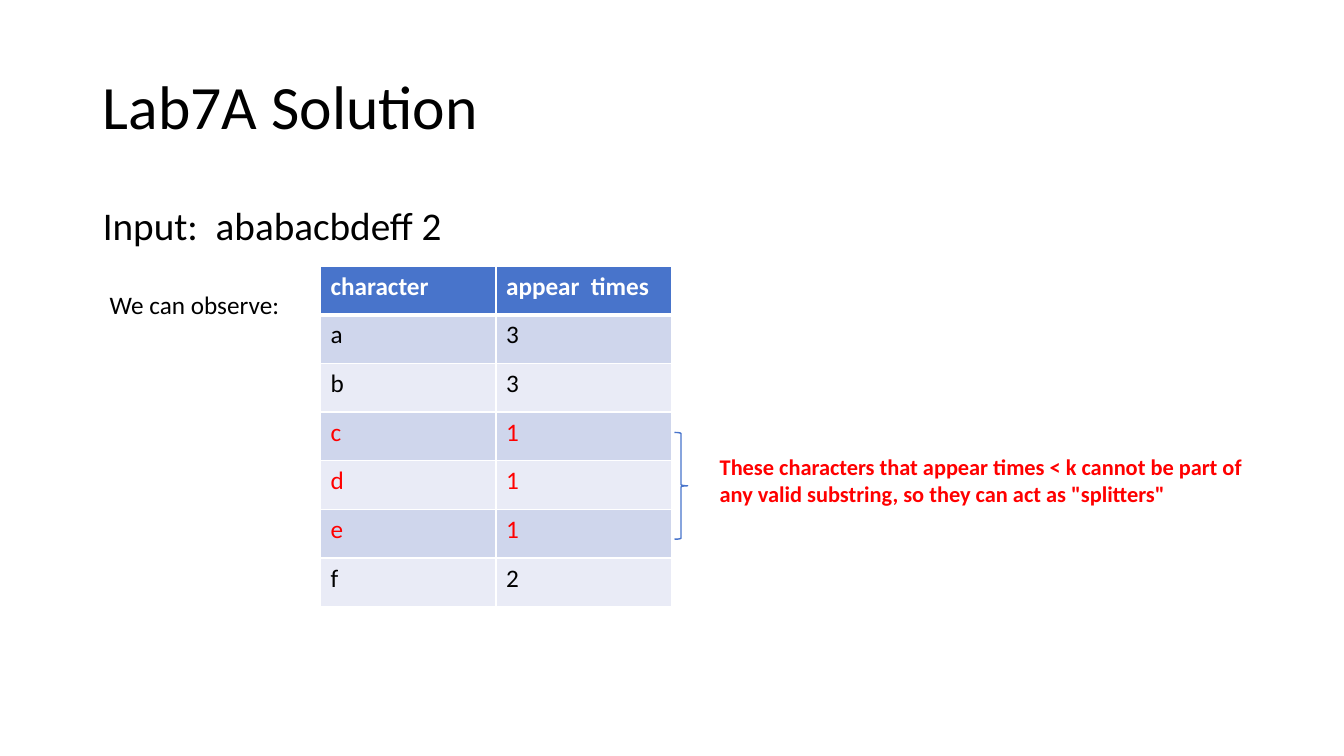
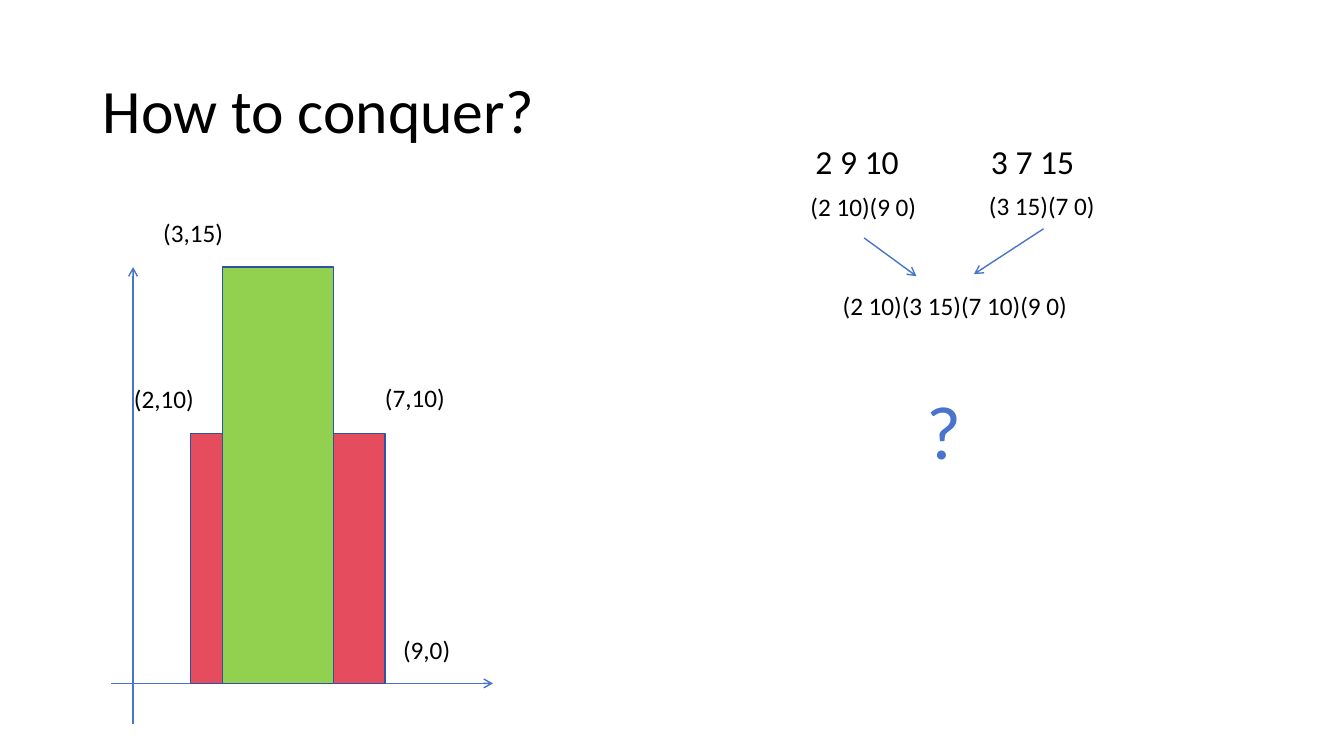
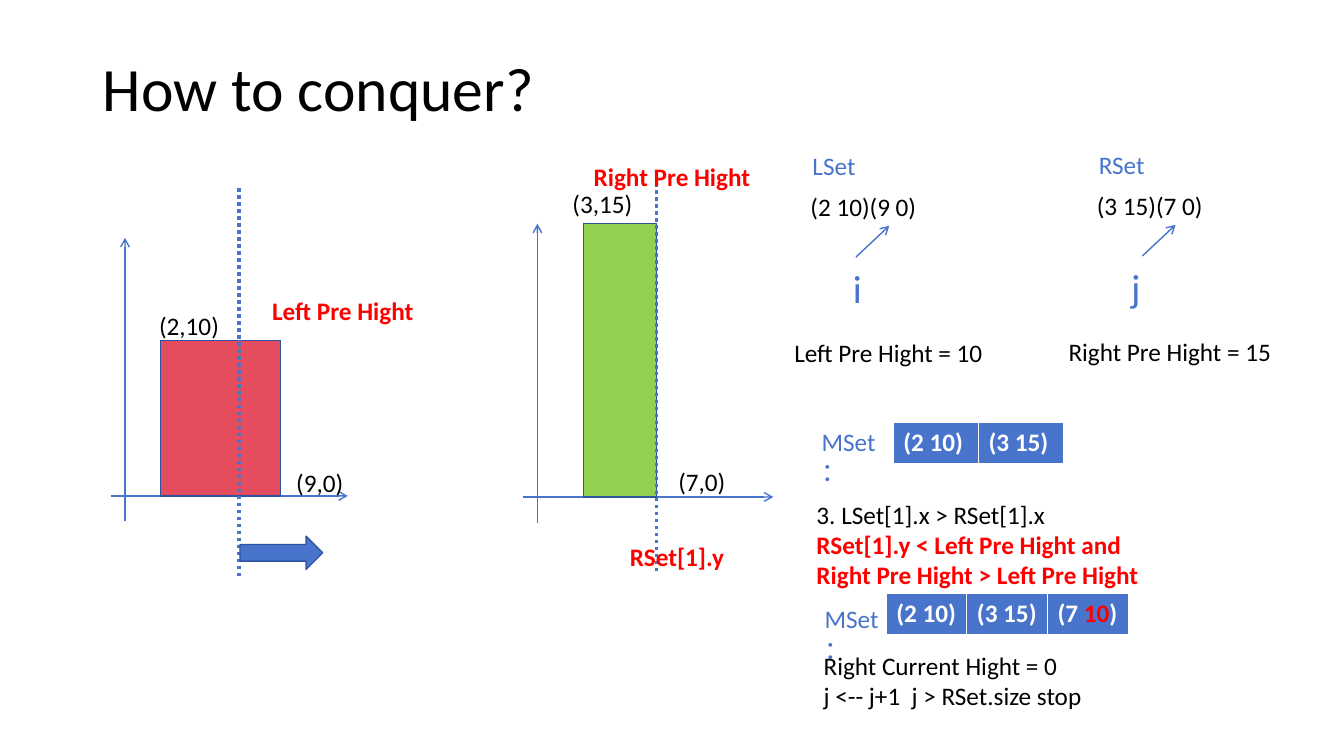
from lxml import etree
from pptx import Presentation
from pptx.dml.color import RGBColor
from pptx.enum.dml import MSO_LINE
from pptx.enum.shapes import MSO_CONNECTOR, MSO_SHAPE
from pptx.enum.text import MSO_ANCHOR, MSO_AUTO_SIZE, PP_ALIGN
from pptx.oxml.ns import qn
from pptx.util import Inches, Pt

STRAIGHT = MSO_CONNECTOR.STRAIGHT
RECTANGLE = MSO_SHAPE.RECTANGLE
RIGHT_ARROW = MSO_SHAPE.RIGHT_ARROW
RIGHT_BRACE = MSO_SHAPE.RIGHT_BRACE
SYS_DOT = MSO_LINE.ROUND_DOT
LEFT, TOP, MIDDLE = PP_ALIGN.LEFT, MSO_ANCHOR.TOP, MSO_ANCHOR.MIDDLE
NO_FIT = MSO_AUTO_SIZE.NONE

FONT = "Calibri"
BLACK, WHITE, RED = "000000", "FFFFFF", "FF0000"
BLUE, OUTLINE = "4874CB", "2E54A1"
CRIMSON, GREEN = "E54C5E", "92D050"
BANDS = ("E9EBF6", "CFD6EC")
TITLE_LAYOUT, BODY_LAYOUT = 5, 1


def rgb(value):
    return RGBColor.from_string(value)


def inches(box):
    return [Inches(length) for length in box]


# Text

def write(frame, content, size=18, color=BLACK, bold=False, spacing=None,
          anchor=TOP, bullet=True):
    """Content is a string or a list of paragraphs; a paragraph is a string
    or a list of (text, overrides) runs."""
    frame.word_wrap = True
    frame.vertical_anchor = anchor
    paragraphs = [content] if isinstance(content, str) else content
    for number, runs in enumerate(paragraphs):
        paragraph = frame.paragraphs[0] if number == 0 else frame.add_paragraph()
        if not bullet:
            properties = paragraph._p.get_or_add_pPr()
            properties.set("marL", "0")
            properties.set("indent", "0")
            etree.SubElement(properties, qn("a:buNone"))
        paragraph.alignment = LEFT
        paragraph.space_before = Pt(0)
        if spacing:
            paragraph.line_spacing = spacing
        for text, changes in [(runs, {})] if isinstance(runs, str) else runs:
            style = {"color": color, "bold": bold, **changes}
            run = paragraph.add_run()
            run.text = text
            run.font.name = FONT
            run.font.size = Pt(size)
            run.font.bold = style["bold"]
            run.font.color.rgb = rgb(style["color"])


def label(slide, box, content, **style):
    text_box = slide.shapes.add_textbox(*inches(box))
    write(text_box.text_frame, content, **style)
    return text_box


def fill_placeholder(placeholder, box, text, **style):
    placeholder.left, placeholder.top, placeholder.width, placeholder.height = inches(box)
    placeholder.text_frame.auto_size = NO_FIT
    write(placeholder.text_frame, text, spacing=0.9, **style)


def titled_slide(deck, title, top, height=1.45, layout=TITLE_LAYOUT):
    slide = deck.slides.add_slide(deck.slide_layouts[layout])
    fill_placeholder(slide.shapes.title, (0.92, top, 11.5, height), title,
                     size=44, anchor=MIDDLE)
    return slide


# Shapes and lines

def shape(slide, kind, box, fill=None, outline=OUTLINE):
    item = slide.shapes.add_shape(kind, *inches(box))
    item.shadow.inherit = False
    if fill:
        item.fill.solid()
        item.fill.fore_color.rgb = rgb(fill)
    else:
        item.fill.background()
    item.line.color.rgb = rgb(outline)
    item.line.width = Pt(1)


def line(slide, start, end, width=1, dash=None, arrow=True):
    connector = slide.shapes.add_connector(STRAIGHT, *inches(start + end))
    connector.line.color.rgb = rgb(BLUE)
    connector.line.width = Pt(width)
    if dash:
        connector.line.dash_style = dash
    if arrow:
        etree.SubElement(connector.line._get_or_add_ln(), qn("a:tailEnd"), type="arrow")
    etree.SubElement(connector._element.spPr, qn("a:effectLst"))
    return connector


# Tables

def border(cell, side, width):
    edge = etree.SubElement(cell._tc.get_or_add_tcPr(), qn(f"a:ln{side}"), w=str(Pt(width)))
    fill = etree.SubElement(edge, qn("a:solidFill"))
    etree.SubElement(fill, qn("a:srgbClr"), val=WHITE)


def grid(slide, box, rows, flagged=()):
    """Table with a blue header row; rows whose number is flagged are red."""
    left, top, width, height = box
    table = slide.shapes.add_table(len(rows), len(rows[0]), *inches(box)).table
    for column in table.columns:
        column.width = Inches(width / len(rows[0]))
    for number, values in enumerate(rows):
        table.rows[number].height = Inches(height / len(rows))
        header = number == 0
        color = WHITE if header else RED if number in flagged else BLACK
        for column, value in enumerate(values):
            cell = table.cell(number, column)
            for side in "LRTB":
                heavy = (header and side == "B") or (number == 1 and side == "T")
                border(cell, side, 3 if heavy else 1)
            cell.fill.solid()
            cell.fill.fore_color.rgb = rgb(BLUE if header else BANDS[number % 2])
            write(cell.text_frame, value, color=color, bold=header)


# Regions, with their parts relative to the given box or corner

def skyline(slide, box, axis_x, base, bars, points):
    """Axes, bars (x, width, height, colour) on the base, and point labels."""
    left, top, width, height = box
    line(slide, (left, top + base), (left + width, top + base))
    line(slide, (left + axis_x, top + height), (left + axis_x, top))
    for x, bar_width, bar_height, color in bars:
        shape(slide, RECTANGLE,
              (left + x, top + base - bar_height, bar_width, bar_height), color)
    for x, y, text in points:
        label(slide, (left + x, top + y, 0.9, 0.4), text)


def merge_question(slide, left, top):
    label(slide, (left + 0.05, top, 1.27, 0.5), "2 9 10", size=24)
    label(slide, (left + 1.79, top, 1.17, 0.5), "3 7 15", size=24)
    label(slide, (left, top + 0.5, 1.32, 0.42), "(2 10)(9 0)")
    right_set = label(slide, (left + 1.77, top + 0.49, 1.28, 0.43), "(3 15)(7 0)")
    line(slide, (left + 0.63, top + 1.01), (left + 1.15, top + 1.39))
    from_right = line(slide, (left + 2.41, top + 0.92), (left + 1.72, top + 1.37))
    from_right.begin_connect(right_set, 2)
    label(slide, (left + 0.32, top + 1.48, 2.43, 0.4), "(2 10)(3 15)(7 10)(9 0)")
    label(slide, (left + 1.15, top + 2.41, 0.64, 1.01), "?", size=54, color=BLUE)


def pointer_set(slide, left, top, name, pairs, index, index_x, height, height_x):
    label(slide, (left + 0.02, top, 0.72, 0.4), name, color=BLUE)
    label(slide, (left, top + 0.41, 1.32, 0.42), pairs)
    line(slide, (left + 0.55, top + 1.11), (left + 0.88, top + 0.8))
    label(slide, (left + index_x, top + 1.13, 0.6, 0.57), index, size=28, color=BLUE)
    label(slide, (left + height_x, top + 1.86, 2.8, 0.4), height)


def merged_set(slide, left, top, table_x, table_y, width, pairs):
    label(slide, (left, top, 0.99, 0.4), "MSet：", color=BLUE)
    grid(slide, (left + table_x, top + table_y, width, 0.42), [pairs])


# Slides

def observation_slide(deck):
    slide = titled_slide(deck, "Lab7A Solution", 0.36, layout=BODY_LAYOUT)
    fill_placeholder(slide.placeholders[1], (0.92, 2, 11.5, 0.64),
                     "Input:  ababacbdeff 2", size=28, bullet=False)
    label(slide, (0.99, 2.82, 4.44, 1.01), "We can observe:")
    counts = [("character", "appear  times"), ("a", "3"), ("b", "3"), ("c", "1"),
              ("d", "1"), ("e", "1"), ("f", "2")]
    grid(slide, (3.18, 2.64, 3.48, 3.38), counts, flagged=(3, 4, 5))
    label(slide, (7.04, 4.45, 5.56, 0.64),
          "These characters that appear times < k cannot be part of any valid "
          'substring, so they can act as "splitters"', size=16, color=RED, bold=True)
    shape(slide, RIGHT_BRACE, (6.69, 4.29, 0.13, 1.06), outline=BLUE)


def question_slide(deck):
    slide = titled_slide(deck, "How to conquer?", 0.4)
    skyline(slide, (1.1, 2.65, 3.79, 4.53), 0.22, 4.13,
            [(0.79, 1.93, 2.48, CRIMSON), (1.11, 1.1, 4.13, GREEN)],
            [(0.13, 1.1, "(2,10)"), (2.8, 3.59, "(9,0)"),
             (0.42, -0.54, "(3,15)"), (2.62, 1.09, "(7,10)")])
    merge_question(slide, 7.94, 1.35)


def merge_step_slide(deck):
    slide = titled_slide(deck, "How to conquer?", 0.4, height=1.01)

    # Left and right skylines with the sweep line
    skyline(slide, (1.1, 2.36, 2.35, 2.81), 0.14, 2.56,
            [(0.49, 1.19, 1.54, CRIMSON)],
            [(0.38, 0.67, "(2,10)"), (1.74, 2.23, "(9,0)")])
    skyline(slide, (5.19, 2.22, 2.48, 2.97), 0.14, 2.71,
            [(0.6, 0.72, 2.71, GREEN)],
            [(0.39, -0.4, "(3,15)"), (1.44, 2.36, "(7,0)")])
    for x, top in ((2.37, 1.87), (6.51, 1.82)):
        line(slide, (x, top), (x, top + 3.86), width=2.5, dash=SYS_DOT, arrow=False)
    shape(slide, RIGHT_ARROW, (2.38, 5.32, 0.82, 0.33), BLUE)
    for x, y, note in ((6.15, 5.32, "RSet[1].y"), (5.79, 1.55, "Right Pre Hight"),
                       (2.6, 2.88, "Left Pre Hight")):
        label(slide, (x, y, 1.8, 0.4), note, color=RED, bold=True)

    # Sets with their pointers
    pointer_set(slide, 7.94, 1.44, "LSet", "(2 10)(9 0)", "i", 0.42,
                "Left Pre Hight = 10", -0.16)
    pointer_set(slide, 10.78, 1.43, "RSet", "(3 15)(7 0)", "j", 0.34,
                "Right Pre Hight = 15", -0.28)

    # Step 3 of the merge
    merged_set(slide, 8.05, 4.18, 0.81, 0.01, 1.69, ["(2 10)", "(3 15)"])
    condition = {"color": RED, "bold": True}
    label(slide, (8, 4.9, 4.44, 1.01),
          ["3. LSet[1].x > RSet[1].x",
           [("RSet[1].y < Left Pre Hight and", condition)],
           [("Right Pre Hight > Left Pre Hight", condition)]])
    new_pair = [[("(7 ", {}), ("10", {"color": RED}), (")", {})]]
    merged_set(slide, 8.08, 5.94, 0.71, -0.05, 2.4, ["(2 10)", "(3 15)", new_pair])
    label(slide, (8.07, 6.4, 2.91, 0.71),
          ["Right Current Hight = 0", "j <-- j+1  j > RSet.size stop"])


def main():
    deck = Presentation()
    deck.slide_width, deck.slide_height = Inches(13.33), Inches(7.5)
    observation_slide(deck)
    question_slide(deck)
    merge_step_slide(deck)
    deck.save("out.pptx")


if __name__ == "__main__":
    main()
